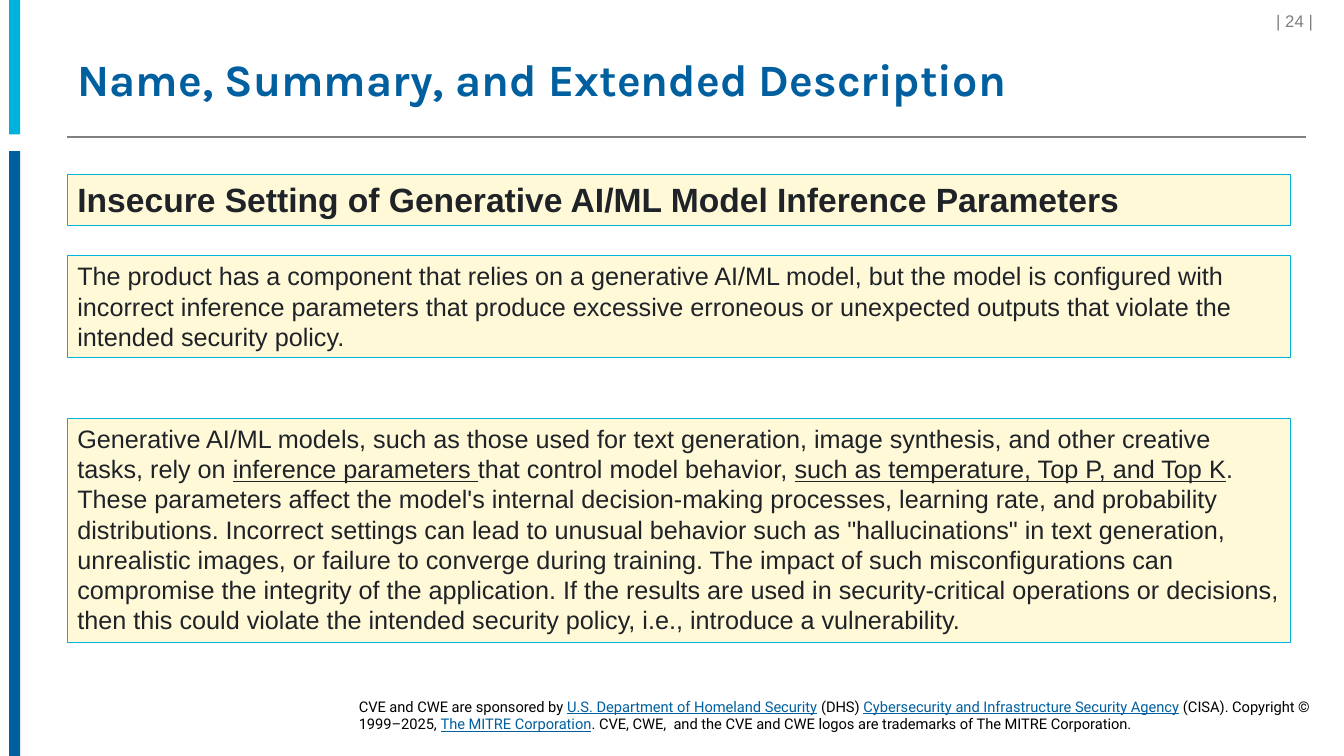
"""Build the slide on name, summary and extended description."""
from pptx import Presentation
from pptx.dml.color import RGBColor
from pptx.enum.shapes import MSO_CONNECTOR, MSO_SHAPE
from pptx.enum.text import MSO_ANCHOR, MSO_AUTO_SIZE, PP_ALIGN
from pptx.oxml.ns import qn
from pptx.util import Pt
from lxml import etree

RECT, LINE = MSO_SHAPE.RECTANGLE, MSO_CONNECTOR.STRAIGHT
TOP, MIDDLE = MSO_ANCHOR.TOP, MSO_ANCHOR.MIDDLE
LEFT, RIGHT = PP_ALIGN.LEFT, PP_ALIGN.RIGHT
NO_FIT = MSO_AUTO_SIZE.NONE

CYAN = RGBColor(0x00, 0xB3, 0xDC)
BLUE = RGBColor(0x00, 0x5F, 0x9E)
GRAY = RGBColor(0x80, 0x80, 0x80)
CREAM = RGBColor(0xFF, 0xF9, 0xD8)
INK = RGBColor(0x1F, 0x23, 0x28)
BLACK = RGBColor(0, 0, 0)

TITLE = "Name, Summary, and Extended Description"
PAGE = "| 24 | "
NAME = ["Insecure Setting of Generative AI/ML Model Inference Parameters"]
BRIEF = [
    "The product has a component that relies on a generative AI/ML model, "
    "but the model is configured with incorrect inference parameters that "
    "produce excessive erroneous or unexpected outputs that violate the "
    "intended security policy."
]
DETAIL = [
    "Generative AI/ML models, such as those used for text generation, image "
    "synthesis, and other creative tasks, rely on ",
    "inference parameters ",
    "that control model behavior, ",
    "such as temperature, Top P, and Top K",
    ". These parameters affect the model's internal decision-making "
    "processes, learning rate, and probability distributions. Incorrect "
    "settings can lead to unusual behavior such as \"hallucinations\" in text "
    "generation, unrealistic images, or failure to converge during training. "
    "The impact of such misconfigurations can compromise the integrity of the "
    "application. If the results are used in security-critical operations or "
    "decisions, then this could violate the intended security policy, i.e., "
    "introduce a vulnerability.",
]
CREDIT = [
    "CVE and CWE are sponsored by ",
    "U.S. Department of Homeland Security",
    " (DHS) ",
    "Cybersecurity and Infrastructure Security Agency",
    " (CISA). Copyright © 1999–2025, ",
    "The MITRE Corporation",
    ". CVE, CWE,  and the CVE and CWE logos are trademarks of The MITRE "
    "Corporation.",
]
BARS = [(0, 96, CYAN), (108, 432, BLUE)]
CARDS = [
    (124.5, 36.3, NAME, 24, True),
    (182.7, 72.7, BRIEF, 18, False),
    (298.7, 160, DETAIL, 18, False),
]
EDGE, WIDE = 48.2, 873.5


def write(shape, parts, size, face, color, mark=None, bold=False,
          align=LEFT, anchor=TOP):
    """Fill a shape with runs, underlining every second one."""
    frame = shape.text_frame
    frame.word_wrap, frame.auto_size = True, NO_FIT
    frame.vertical_anchor = anchor
    para = frame.paragraphs[0]
    para.alignment = align
    for i, text in enumerate(parts):
        run = para.add_run()
        run.text = text
        font = run.font
        font.name, font.size, font.bold = face, Pt(size), bold
        font.underline = i % 2 == 1
        font.color.rgb = mark if mark and i % 2 else color
    return frame


def block(slide, x, y, w, h, fill, edge=None):
    """Add a flat rectangle."""
    rect = slide.shapes.add_shape(RECT, Pt(x), Pt(y), Pt(w), Pt(h))
    rect.shadow.inherit = False
    rect.fill.solid()
    rect.fill.fore_color.rgb = fill
    if edge is None:
        rect.line.fill.background()
    else:
        rect.line.color.rgb, rect.line.width = edge, Pt(0.75)
    return rect


def main():
    """Draw the slide and save it."""
    deck = Presentation()
    deck.slide_width, deck.slide_height = Pt(960), Pt(540)
    slide = deck.slides.add_slide(deck.slide_layouts[5])
    shapes = slide.shapes

    for y, h, color in BARS:
        block(slide, 6.5, y, 7.9, h, color)
    rule = shapes.add_connector(LINE, Pt(EDGE), Pt(97.9), Pt(933), Pt(97.9))
    rule.line.color.rgb, rule.line.width = GRAY, Pt(1)
    etree.SubElement(rule.element.spPr, qn("a:effectLst"))

    title = shapes.title
    title.left, title.top = Pt(EDGE), Pt(28.8)
    title.width, title.height = Pt(885), Pt(59)
    frame = write(title, [TITLE], 32, "Karla", BLUE, bold=True, anchor=MIDDLE)
    frame.paragraphs[0].line_spacing = 0.9

    page = shapes.add_textbox(Pt(809.3), Pt(4.3), Pt(139), Pt(20.2))
    write(page, [PAGE], 12, "Arial", GRAY, align=RIGHT)

    credit = shapes.add_textbox(Pt(252.7), Pt(494.6), Pt(687), Pt(32.4))
    frame = write(credit, CREDIT, 10.5, "Roboto", BLACK, BLUE)
    frame.margin_left = frame.margin_right = Pt(3.6)
    frame.margin_top = frame.margin_bottom = Pt(3.6)

    for y, h, parts, size, bold in CARDS:
        card = block(slide, EDGE, y, WIDE, h, CREAM, CYAN)
        write(card, parts, size, "Arial", INK, bold=bold)

    deck.save("out.pptx")


if __name__ == "__main__":
    main()
